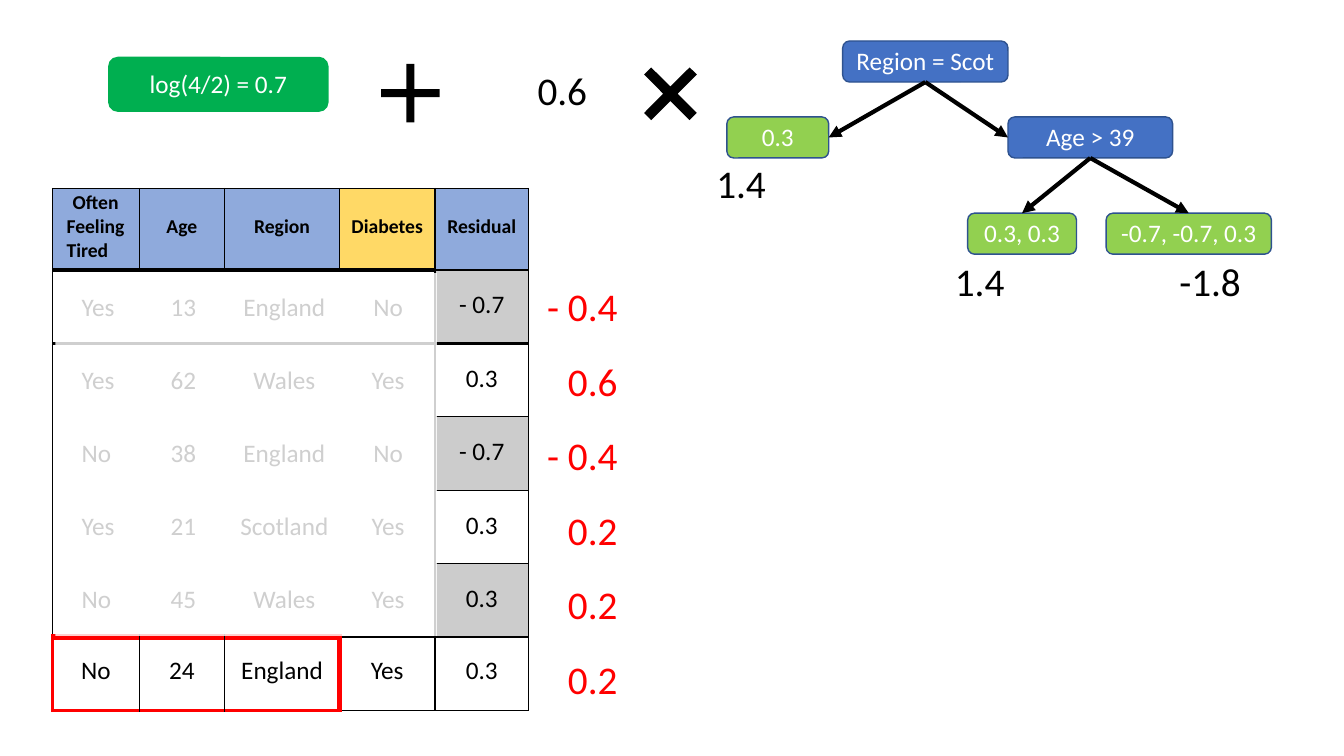
from math import cos, radians, sin
from lxml import etree
from pptx import Presentation
from pptx.dml.color import RGBColor
from pptx.enum.shapes import MSO_CONNECTOR, MSO_SHAPE
from pptx.enum.text import MSO_ANCHOR, PP_ALIGN
from pptx.oxml.ns import qn
from pptx.util import Emu, Inches, Pt

ROUNDED, RECT, STRAIGHT = MSO_SHAPE.ROUNDED_RECTANGLE, MSO_SHAPE.RECTANGLE, MSO_CONNECTOR.STRAIGHT
LEFT, CENTER, RIGHT = PP_ALIGN.LEFT, PP_ALIGN.CENTER, PP_ALIGN.RIGHT
TOP, MIDDLE = MSO_ANCHOR.TOP, MSO_ANCHOR.MIDDLE
SITE_TOP, SITE_LEFT, SITE_BOTTOM, SITE_RIGHT = range(4)

WIDTH, HEIGHT = Inches(13.333), Inches(7.5)
BLACK, WHITE, RED, GREY = "000000", "FFFFFF", "FF0000", "CCCCCC"
BLUE, LEAF, GREEN, OUTLINE = "4471C4", "92D050", "00AF50", "2E528F"
HEAD_BLUE, HEAD_GOLD = "8FAADC", "FFD966"
NO_STYLE = "{2D5ABB26-0587-4C30-8999-92F81FD0307C}"

HEADINGS = ["Often Feeling Tired", "Age", "Region", "Diabetes", "Residual"]
FADED = [["Yes", "13", "England", "No"], ["Yes", "62", "Wales", "Yes"],
         ["No", "38", "England", "No"], ["Yes", "21", "Scotland", "Yes"],
         ["No", "45", "Wales", "Yes"]]
RESIDUALS = ["- 0.7", "0.3", "- 0.7", "0.3", "0.3"]
CURRENT = ["No", "24", "England", "Yes", "0.3"]
NEW_RESIDUALS = ["- 0.4", "0.6", "- 0.4", "0.2", "0.2", "0.2"]
COL_SHARES = [6.47, 6.33, 8.58, 7.07, 7]
ROW_SHARES = [10.8] + [9.71] * 6
FADED_TABS = [1.01, 2.01, 3.04]


# Positions are percentages of the slide's width and height
def across(share):
    return Emu(round(WIDTH * share / 100))


def down(share):
    return Emu(round(HEIGHT * share / 100))


def box(x, y, w, h):
    return across(x), down(y), across(w), down(h)


def rgb(code):
    return RGBColor.from_string(code)


def write(p, text, size, color, align=CENTER, bold=False):
    p.alignment = align
    r = p.add_run()
    r.text = text
    for name, value in {"name": "Calibri", "size": Pt(size), "bold": bold}.items():
        setattr(r.font, name, value)
    r.font.color.rgb = rgb(color)


def bare_frame(sp, anchor, bottom=0):
    tf = sp.text_frame
    frame = {"margin_left": 0, "margin_right": 0, "margin_top": 0, "word_wrap": True,
             "margin_bottom": Inches(bottom), "vertical_anchor": anchor}
    for name, value in frame.items():
        setattr(tf, name, value)
    return tf


def paint(sp, fill, line=None):
    sp.shadow.inherit = False
    sp.fill.solid()
    sp.fill.fore_color.rgb = rgb(fill)
    if line:
        sp.line.color.rgb = rgb(line)
        sp.line.width = Pt(1)
    else:
        sp.line.fill.background()


def node(s, text, x, y, w, h=5.43, fill=LEAF, line=OUTLINE):
    sp = s.shapes.add_shape(ROUNDED, *box(x, y, w, h))
    paint(sp, fill, line)
    write(bare_frame(sp, MIDDLE, 0.02).paragraphs[0], text, 18, WHITE)
    return sp


def label(s, text, x, y, color=BLACK, align=LEFT):
    sp = s.shapes.add_textbox(*box(x, y, 6, 6.5))
    write(bare_frame(sp, TOP).paragraphs[0], text, 28, color, align)


def operator(s, x, y, arm, half, turn=0):
    """A plus sign centred on x, y; turned by 45 degrees it is a times sign."""
    corners = []
    for quarter in range(4):
        a = radians(turn + 90 * quarter)
        for u, v in [(arm, -half), (arm, half), (half, half)]:
            corners.append((across(x) + Inches(u * cos(a) - v * sin(a)),
                            down(y) + Inches(u * sin(a) + v * cos(a))))
    outline = s.shapes.build_freeform(*corners[0])
    outline.add_line_segments(corners[1:], close=True)
    paint(outline.convert_to_shape(), BLACK)


def branch(s, parent, child, site):
    c = s.shapes.add_connector(STRAIGHT, 0, 0, 0, 0)
    c.begin_connect(parent, SITE_BOTTOM)
    c.end_connect(child, site)
    c.line.color.rgb = rgb(BLACK)
    c.line.width = Pt(3)
    etree.SubElement(c.line._get_or_add_ln(), qn("a:tailEnd"), type="triangle")
    etree.SubElement(c._element.spPr, qn("a:effectLst"))


# Rules of the table: colour and width of each grid line
def row_line(k, col):
    if k in (1, 2):
        return BLACK, 2.25 if col == 4 else 3
    if k >= 6 and col < 3:
        return RED, 4.5 if k == 6 else 3
    if k == 6 and col == 3:
        return BLACK, 2.25
    return (BLACK, 1) if col == 4 or k in (0, 7) else None


def col_line(row, k):
    if k == 4:
        return BLACK, 1.5
    if row == 6 and k in (0, 3):
        return RED, 4.5 if k == 3 else 3
    return (BLACK, 1) if row in (0, 6) or k in (0, 5) else None


def cell_fill(row, col):
    if row == 0:
        return HEAD_GOLD if col == 3 else HEAD_BLUE
    return GREY if col == 4 and row in (1, 3, 5) else None


def border(cell, tag, line):
    color, width = line or (None, 0)
    ln = etree.SubElement(cell._tc.get_or_add_tcPr(), qn(tag), w=str(Pt(width)))
    fill = etree.SubElement(ln, qn("a:solidFill" if color else "a:noFill"))
    if color:
        etree.SubElement(fill, qn("a:srgbClr"), val=color)


def fill_cell(cell, text, row, col):
    bottom = Inches(0.05 if row in (0, 6) else 0.03)
    for name, value in {"left": 0, "right": 0, "top": 0, "bottom": bottom}.items():
        setattr(cell, "margin_" + name, value)
    cell.vertical_anchor = MIDDLE
    for tag, line in {"a:lnL": col_line(row, col), "a:lnR": col_line(row, col + 1),
                      "a:lnT": row_line(row, col), "a:lnB": row_line(row + 1, col)}.items():
        border(cell, tag, line)
    color = cell_fill(row, col)
    if color:
        cell.fill.solid()
        cell.fill.fore_color.rgb = rgb(color)
    else:
        cell.fill.background()
    p, head = cell.text_frame.paragraphs[0], row == 0
    if head and col == 0:
        p._p.get_or_add_pPr().set("marL", str(Inches(0.14)))
        p._p.get_or_add_pPr().set("indent", str(Inches(0.06)))
    if text:
        write(p, text, 14 if head else 18, BLACK, LEFT if head and col == 0 else CENTER, head)


def patient_table(s, x, y):
    rows = [HEADINGS] + [[""] * 4 + [value] for value in RESIDUALS] + [CURRENT]
    place = box(x, y, sum(COL_SHARES), sum(ROW_SHARES))
    table = s.shapes.add_table(len(rows), len(COL_SHARES), *place).table
    table.first_row = table.horz_banding = False
    table._tbl.tblPr.find(qn("a:tableStyleId")).text = NO_STYLE
    for column, share in zip(table.columns, COL_SHARES):
        column.width = across(share)
    for i, texts in enumerate(rows):
        table.rows[i].height = down(ROW_SHARES[i])
        for j, text in enumerate(texts):
            fill_cell(table.cell(i, j), text, i, j)


def faded_rows(s, x, y):
    tf = bare_frame(s.shapes.add_textbox(*box(x, y, 26, 42.5)), TOP)
    for i, texts in enumerate(FADED):
        p = tf.add_paragraph() if i else tf.paragraphs[0]
        tabs = etree.SubElement(p._p.get_or_add_pPr(), qn("a:tabLst"))
        for stop in FADED_TABS:
            etree.SubElement(tabs, qn("a:tab"), pos=str(Inches(stop)), algn="ctr")
        if i:
            p.space_before = Pt(30.5)
        write(p, "\t".join(texts), 18, BLACK, LEFT)


def veil(s, place):
    sp = s.shapes.add_shape(RECT, *place)
    paint(sp, WHITE)
    etree.SubElement(sp._element.spPr.find(qn("a:solidFill"))[0], qn("a:alpha"), val="81000")


def main():
    prs = Presentation()
    prs.slide_width, prs.slide_height = WIDTH, HEIGHT
    s = prs.slides.add_slide(prs.slide_layouts[6])
    # Patients, with all but the last row faded
    faded_rows(s, 6.08, 38.6)
    patient_table(s, 3.9, 24.93)
    veil(s, box(4.12, 36.13, 28.4, 48))
    for i, text in enumerate(NEW_RESIDUALS):
        label(s, text, 39.95, 37.35 + 9.87 * i, RED, RIGHT)
    # First prediction plus learning rate times tree
    node(s, "log(4/2) = 0.7", 8.1, 7.6, 16.3, 7.1, GREEN, GREEN)
    operator(s, 30.53, 12.33, 0.29, 0.04)
    label(s, "0.6", 40, 8.75)
    operator(s, 49.88, 12.4, 0.32, 0.05, 45)
    # Decision tree
    region = node(s, "Region = Scot", 62.7, 5.43, 12.3, fill=BLUE)
    not_scot = node(s, "0.3", 54.08, 15.47, 7.58)
    age = node(s, "Age > 39", 75, 15.47, 12.25, fill=BLUE)
    older = node(s, "0.3, 0.3", 72, 28.2, 8.1)
    younger = node(s, "-0.7, -0.7, 0.3", 82.3, 28.2, 12.3)
    for parent, child, site in [(region, not_scot, SITE_RIGHT), (region, age, SITE_LEFT),
                                (age, older, SITE_TOP), (age, younger, SITE_TOP)]:
        branch(s, parent, child, site)
    # Leaf outputs
    for text, x, y in [("1.4", 53.3, 21.1), ("1.4", 71.05, 34.05), ("-1.8", 87.75, 34.05)]:
        label(s, text, x, y)
    prs.save("out.pptx")


if __name__ == "__main__":
    main()
